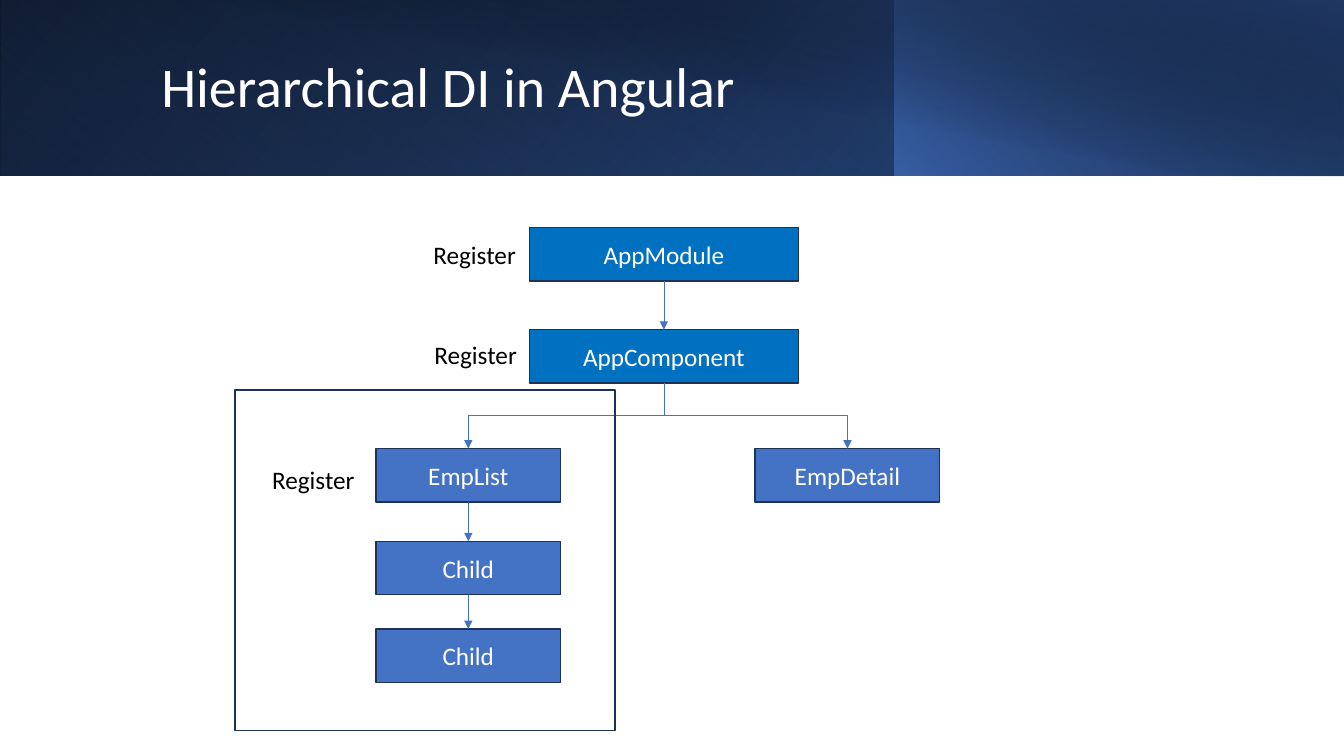
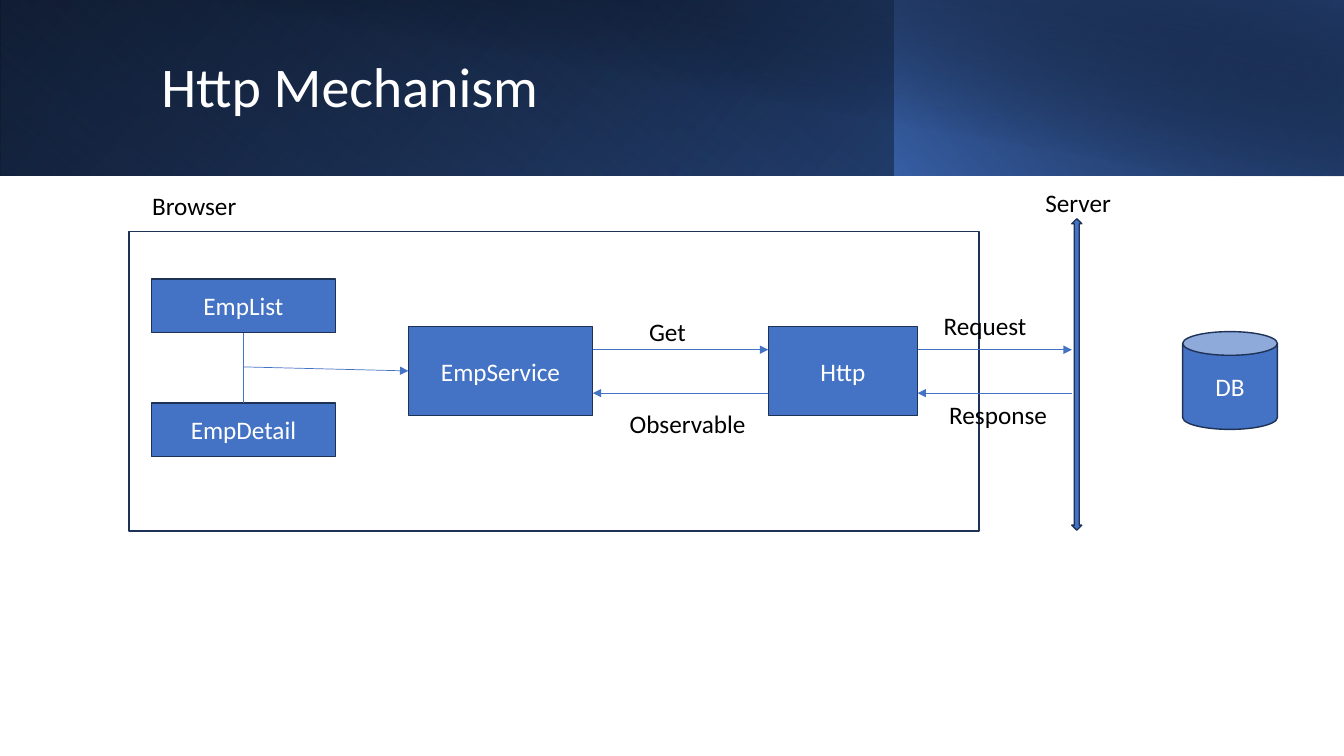
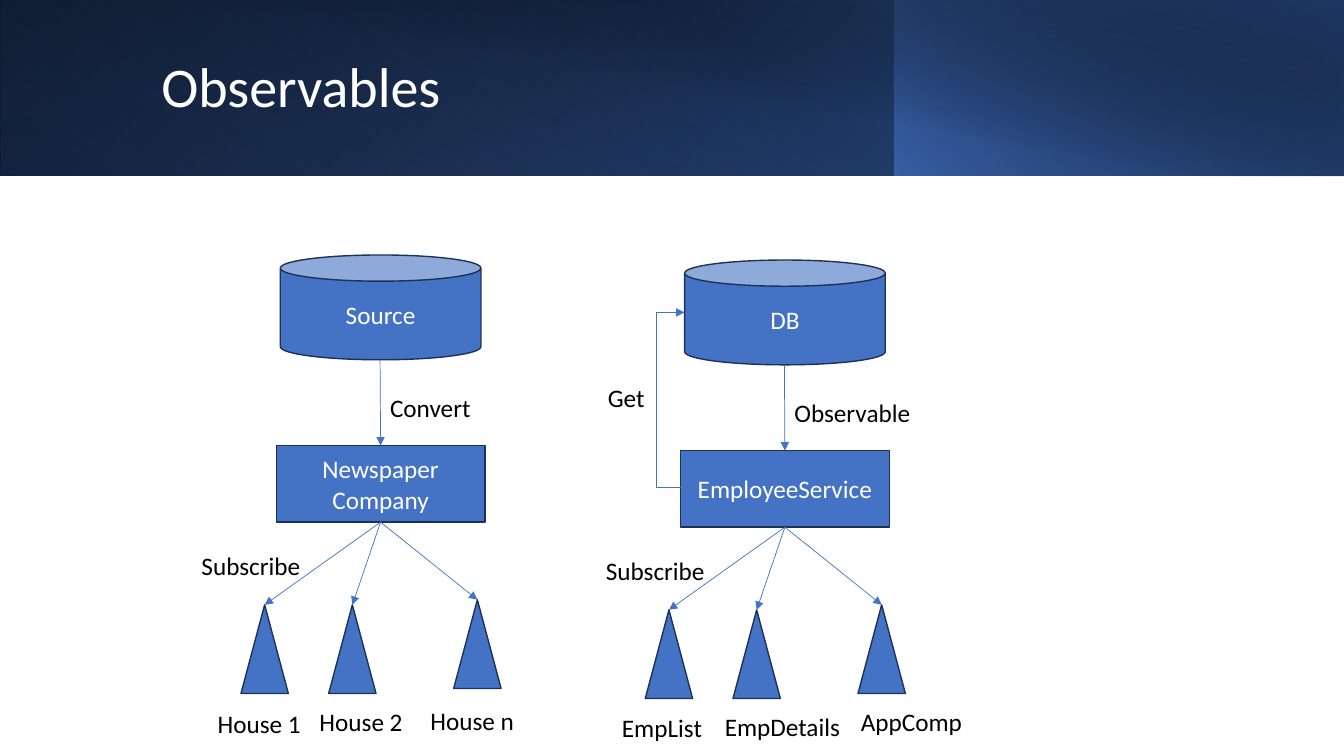
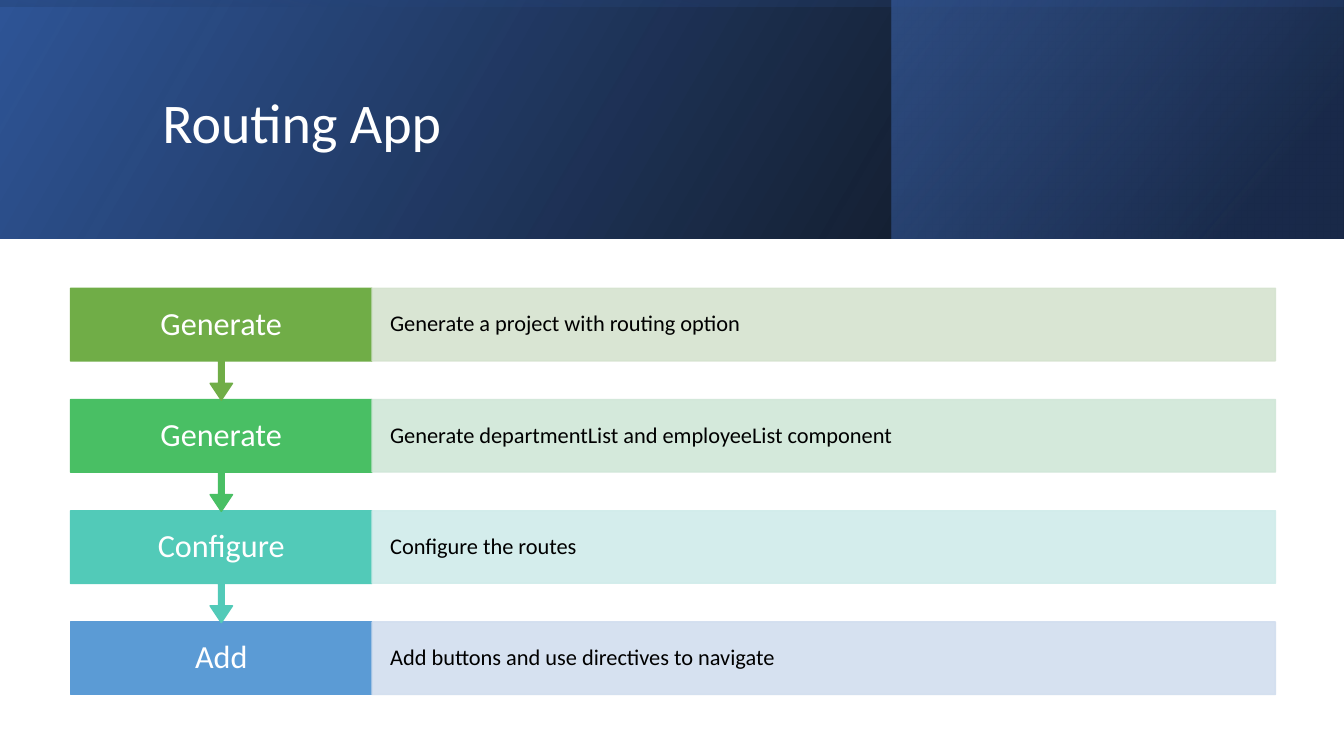
from lxml.etree import SubElement
from pptx import Presentation
from pptx.dml.color import RGBColor
from pptx.enum.shapes import MSO_CONNECTOR as Conn, MSO_SHAPE as Kind
from pptx.enum.text import MSO_ANCHOR as Anchor, PP_ALIGN as Align
from pptx.oxml.ns import qn
from pptx.util import Inches, Pt

WHITE = RGBColor(0xFF, 0xFF, 0xFF)
BLACK = RGBColor(0x00, 0x00, 0x00)
BLUE = RGBColor(0x44, 0x72, 0xC4)
AZURE = RGBColor(0x00, 0x70, 0xC0)
EDGE = RGBColor(0x1E, 0x32, 0x56)
NAVY = RGBColor(0x20, 0x38, 0x64)
ROYAL = RGBColor(0x2F, 0x55, 0x97)

# Each band: place, turn, flipped, gradient angle, stops of (position, colour, opacity)
SLIM = [
    ((0, 0, 13.33, 1.74), 0, True, 140, [(0, BLACK, 100), (100, ROYAL, 100)]),
    ((0, 0, 8.88, 1.74), 180, True, 230, [(20, BLUE, 0), (100, NAVY, 55)]),
    ((8.87, 0, 4.46, 1.74), 0, True, 220, [(0, BLUE, 66), (100, BLACK, 30)]),
    ((0.5, 0, 12.83, 1.75), 0, False, 280, [(50, BLACK, 0), (99, NAVY, 52)]),
]
TALL = [
    ((0, 0, 13.33, 2.37), 0, True, 330, [(0, BLACK, 96), (100, ROYAL, 100)]),
    ((8.84, 0, 4.48, 2.37), 0, True, 320, [(19, NAVY, 68), (100, BLUE, 48)]),
    ((5.48, -5.48, 2.37, 13.33), 270, True, 350, [(23, ROYAL, 16), (99, BLACK, 45)]),
]


def inch(vals):
    return [Inches(v) for v in vals]


def fade(shape, levels):
    """Set the opacity, in percent, of the shape's colours in order."""
    for tone, level in zip(shape._element.spPr.iter(qn("a:srgbClr")), levels):
        if level < 100:
            SubElement(tone, qn("a:alpha"), val=str(level * 1000))


def write(shape, text, size=18, color=WHITE, align=Align.CENTER,
          anchor=Anchor.MIDDLE, space=None, pad=None):
    frame = shape.text_frame
    frame.word_wrap = True
    frame.vertical_anchor = anchor
    if pad:
        frame.margin_left = frame.margin_right = Inches(pad[0])
        frame.margin_top = frame.margin_bottom = Inches(pad[1])
    frame.text = text
    for par in frame.paragraphs:
        par.alignment = align
        par.line_spacing = space
        font = par.runs[0].font
        font.name, font.size, font.color.rgb = "Calibri", Pt(size), color


class Deck:
    def __init__(self):
        self.prs = Presentation()
        self.prs.slide_width, self.prs.slide_height = inch((13.33, 7.5))
        self.slide = None

    def page(self, text, bands=SLIM, place=(1.5, 0.32, 10.82, 1.13)):
        self.slide = self.prs.slides.add_slide(self.prs.slide_layouts[5])
        for band in bands:
            self.band(*band)
        title = self.slide.shapes.title
        title.left, title.top, title.width, title.height = inch(place)
        write(title, text, size=40, align=Align.LEFT, space=0.9)
        self.slide.shapes._spTree.append(title._element)

    def band(self, place, turn, flip, angle, stops):
        band = self.slide.shapes.add_shape(Kind.RECTANGLE, *inch(place))
        band.shadow.inherit = False
        band.line.fill.background()
        band.rotation = turn
        if flip:
            band._element.spPr.xfrm.set("flipH", "1")
        band.fill.gradient()
        band.fill.gradient_angle = 360 - angle
        for stop, (spot, color, _) in zip(band.fill.gradient_stops, stops):
            stop.position, stop.color.rgb = spot / 100, color
        fade(band, [level for _, _, level in stops])

    def shape(self, place, text="", kind=Kind.RECTANGLE, fill=BLUE, edge=EDGE, **form):
        shape = self.slide.shapes.add_shape(kind, *inch(place))
        shape.shadow.inherit = False
        if fill is None:
            shape.fill.background()
        else:
            shape.fill.solid()
            shape.fill.fore_color.rgb = fill
        shape.line.color.rgb, shape.line.width = edge, Pt(1)
        if text:
            write(shape, text, **form)
        return shape

    def label(self, text, x, y, w=1.12, align=Align.LEFT):
        box = self.slide.shapes.add_textbox(*inch((x, y, w, 0.4)))
        write(box, text, color=BLACK, align=align, anchor=Anchor.TOP)

    def wire(self, kind, ends, head=True):
        wire = self.slide.shapes.add_connector(kind, *ends)
        wire.line.color.rgb, wire.line.width = BLUE, Pt(0.5)
        if head:
            SubElement(wire.line._get_or_add_ln(), qn("a:tailEnd"), type="triangle")
        SubElement(wire._element.spPr, qn("a:effectLst"))
        return wire

    def line(self, start, end, head=True):
        """Join two ends, each a point in inches or a (shape, side) pair."""
        free = [(0, 0) if hasattr(e[0], "left") else inch(e) for e in (start, end)]
        wire = self.wire(Conn.STRAIGHT, (*free[0], *free[1]), head)
        if hasattr(start[0], "left"):
            wire.begin_connect(*start)
        if hasattr(end[0], "left"):
            wire.end_connect(*end)

    def down(self, *chain):
        for high, low in zip(chain, chain[1:]):
            self.line((high, 2), (low, 0))

    def fork(self, high, low):
        """Elbow from the bottom of one shape to the top of a lower one."""
        x1, y1 = high.left + high.width // 2, high.top + high.height
        x2, y2 = low.left + low.width // 2, low.top
        midx, midy = (x1 + x2) // 2, (y1 + y2) // 2
        w, h = abs(x2 - x1) // 2, (y2 - y1) // 2
        wire = self.wire(Conn.ELBOW, (midx - h, midy - w, midx + h, midy + w))
        xfrm = wire._element.spPr.xfrm
        xfrm.set("rot", str((90 if x2 < x1 else 270) * 60000))
        if x2 > x1:
            xfrm.set("flipH", "1")

    def loop(self, start, end, via):
        """Elbow that runs out to the x of via and back."""
        wire = self.wire(Conn.ELBOW, inch((*start, *end)))
        geom = wire._element.spPr.find(qn("a:prstGeom"))
        ratio = round((via - start[0]) / (end[0] - start[0]) * 100000)
        SubElement(geom.find(qn("a:avLst")), qn("a:gd"), name="adj1", fmla=f"val {ratio}")


def tree(deck, dx, dy, store, maker, flow, leaves):
    """Store, maker and three readers, moved by dx and dy."""
    deck.shape((2.78 + dx, 2.53 + dy, 1.99, 1.04), store, kind=Kind.CAN)
    hub = deck.shape((2.74 + dx, 4.42 + dy, 2.07, 0.76), maker)
    deck.line((3.77 + dx, 3.57 + dy), (hub, 0))
    deck.label(flow, 3.77 + dx, 3.84 + dy, 1.98)
    deck.label("Subscribe", 1.9 + dx, 5.41 + dy, 1.22)
    for (x, y), leaf in zip([(2.39, 6), (3.26, 6), (4.5, 5.95)], leaves):
        cone = deck.shape((x + dx, y + dy, 0.47, 0.88), kind=Kind.ISOSCELES_TRIANGLE)
        deck.line((hub, 2), (cone, 0))
        deck.label(*leaf)


def scopes(deck):
    deck.page("Hierarchical DI in Angular")
    root = deck.shape((5.25, 2.26, 2.67, 0.53), "AppModule", fill=AZURE)
    app = deck.shape((5.25, 3.27, 2.67, 0.53), "AppComponent", fill=AZURE)
    left = [deck.shape((3.73, y, 1.83, 0.53), text)
            for y, text in [(4.45, "EmpList"), (5.37, "Child"), (6.24, "Child")]]
    right = deck.shape((7.49, 4.45, 1.83, 0.53), "EmpDetail")
    deck.down(root, app)
    deck.down(*left)
    deck.fork(app, left[0])
    deck.fork(app, right)
    deck.shape((2.33, 3.87, 3.77, 3.38), fill=None)
    for x, y in [(2.6, 4.56), (4.21, 3.32), (4.2, 2.33)]:
        deck.label("Register", x, y)


def calls(deck):
    deck.page("Http Mechanism")
    top = deck.shape((1.5, 2.77, 1.83, 0.53), "EmpList")
    low = deck.shape((1.5, 4, 1.83, 0.53), "EmpDetail")
    hub = deck.shape((4.05, 3.24, 1.83, 0.88), "EmpService")
    deck.shape((1.28, 2.3, 8.43, 2.97), fill=None)
    deck.shape((7.62, 3.24, 1.48, 0.88), "Http")
    deck.line((top, 2), (low, 0), head=False)
    deck.line((2.41, 3.64), (hub, 1))
    for x1, x2 in [(5.88, 7.62), (9.1, 10.63)]:
        deck.line((x1, 3.47), (x2, 3.47))
        deck.line((x2, 3.9), (x1, 3.9))
    deck.shape((10.63, 2.17, 0.1, 3.09), kind=Kind.UP_DOWN_ARROW)
    deck.shape((11.73, 3.29, 0.94, 0.97), "DB", kind=Kind.CAN)
    deck.label("Browser", 1.41, 1.84)
    deck.label("Server", 10.27, 1.81)
    for text, x, y, w in [("Get", 6.06, 3.09, 1.12), ("Observable", 6.08, 4, 1.48),
                          ("Request", 9.21, 3.03, 1.12), ("Response", 9.28, 3.91, 1.24)]:
        deck.label(text, x, y, w, Align.CENTER)


def streams(deck):
    deck.page("Observables")
    tree(deck, 0, 0, "Source", "Newspaper\nCompany", "Convert",
         [("House 1", 2.06, 6.98), ("House 2", 3.07, 6.96), ("House n", 4.17, 6.95)])
    tree(deck, 4.01, 0.05, "DB", "EmployeeService", "Observable",
         [("EmpList", 6.07, 7.02), ("EmpDetails", 7.09, 7.01, 1.43),
          ("AppComp", 8.44, 6.96, 1.83)])
    deck.loop((6.76, 4.84), (6.79, 3.1), 6.51)
    deck.label("Get", 5.93, 3.74, 0.67)


def routes(deck):
    deck.page("Routing App", TALL, (1.51, 0.38, 10.63, 1.72))
    steps = [
        ("Generate", "Generate a project with routing option",
         RGBColor(0x70, 0xAD, 0x47), RGBColor(0xD5, 0xE3, 0xCF)),
        ("Generate", "Generate departmentList and employeeList component",
         RGBColor(0x49, 0xBF, 0x64), RGBColor(0xD0, 0xE7, 0xD8)),
        ("Configure", "Configure the routes",
         RGBColor(0x52, 0xCA, 0xB8), RGBColor(0xD0, 0xEC, 0xEA)),
        ("Add", "Add buttons and use directives to navigate",
         RGBColor(0x5B, 0x9B, 0xD5), RGBColor(0xD2, 0xDE, 0xEF)),
    ]
    last = len(steps) - 1
    gap = (6.17 - 2.86) / last
    # From the bottom up, so that each arrow lies over the step below it
    for i, (verb, task, deep, pale) in reversed(list(enumerate(steps))):
        y = 2.86 + i * gap
        kind, h = (Kind.RECTANGLE, 0.72) if i == last else (Kind.DOWN_ARROW_CALLOUT, 1.11)
        step = deck.shape((0.7, y, 2.99, h), verb, kind=kind, fill=deep, edge=deep,
                          size=23, space=0.9, pad=(0.21, 0.18))
        if i < last:
            for j, ratio in enumerate((0.05, 0.1, 0.15, 0.65)):
                step.adjustments[j] = ratio
        note = deck.shape((3.69, y, 8.96, 0.72), task, fill=pale, edge=pale, size=16,
                          color=BLACK, align=Align.LEFT, space=0.9, pad=(0.18, 0.22))
        fade(note, (90, 90))


def main():
    deck = Deck()
    for draw in (scopes, calls, streams, routes):
        draw(deck)
    deck.prs.save("out.pptx")


if __name__ == "__main__":
    main()
